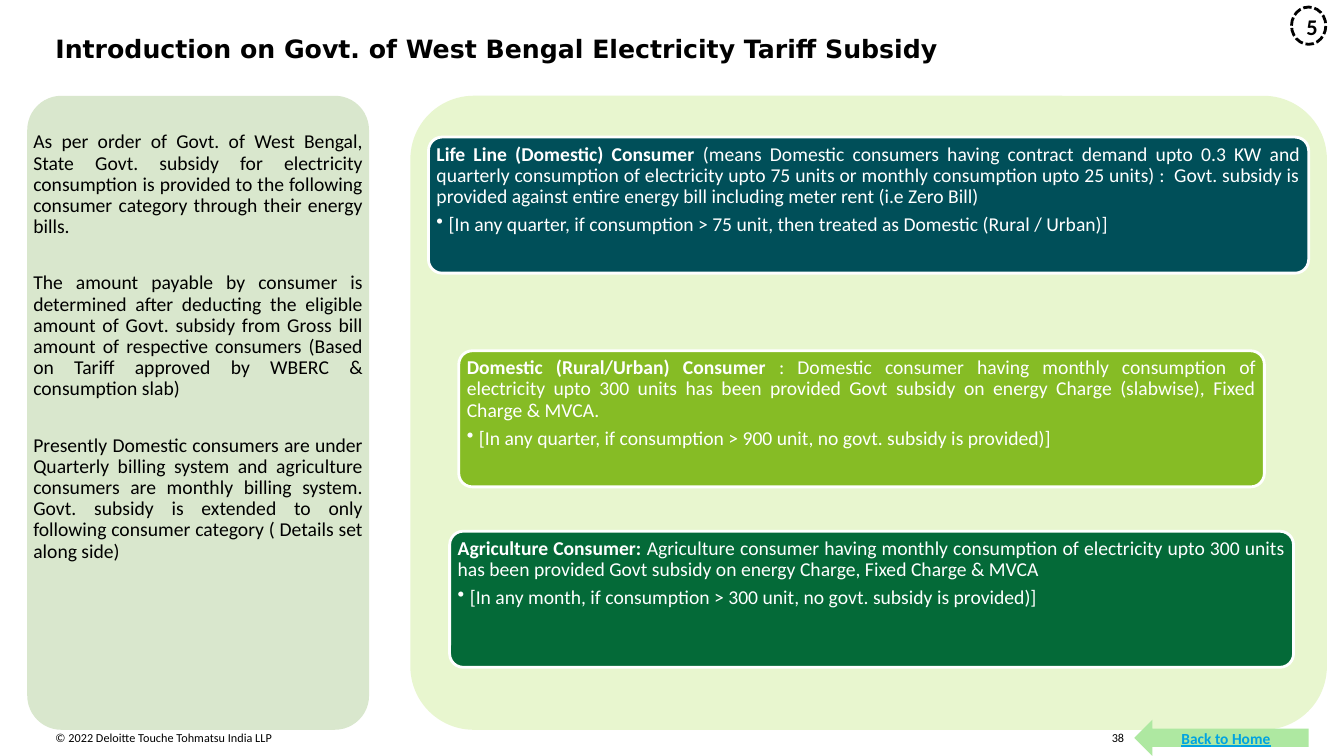
from lxml import etree
from pptx import Presentation
from pptx.dml.color import RGBColor
from pptx.enum import dml, shapes, text
from pptx.oxml import ns
from pptx.util import Inches, Pt

TITLE = "Introduction on Govt. of West Bengal Electricity Tariff Subsidy"
COPYRIGHT = "© 2022 Deloitte Touche Tohmatsu India LLP"
SUBSIDY_NOTES = [
    "As per order of Govt. of West Bengal, State Govt. subsidy for electricity consumption is "
    "provided to the following consumer category through their energy bills. ",
    "The amount payable by consumer is determined after deducting the eligible amount of Govt. "
    "subsidy from Gross bill amount of respective consumers (Based on Tariff approved by WBERC "
    "& consumption slab)",
    "Presently Domestic consumers are under Quarterly billing system and agriculture consumers "
    "are monthly billing system. Govt. subsidy is extended to only following consumer category "
    "( Details set along side)",
]
# left, top, width, fill, category, description, condition
CONSUMERS = [
    (4.25, 1.36, 8.73, "004F59", "Life Line (Domestic) Consumer ",
     "(means Domestic consumers having contract demand upto 0.3 KW and quarterly consumption of "
     "electricity upto 75 units or monthly consumption upto 25 units) :  Govt. subsidy is "
     "provided against entire energy bill including meter rent (i.e Zero Bill)",
     "[In any quarter, if consumption > 75 unit, then treated as Domestic (Rural / Urban)]"),
    (4.55, 3.48, 7.99, "86BC25", "Domestic (Rural/Urban) Consumer ",
     ": Domestic consumer having monthly consumption of electricity upto 300 units has been "
     "provided Govt subsidy on energy Charge (slabwise), Fixed Charge & MVCA.",
     "[In any quarter, if consumption > 900 unit, no govt. subsidy is provided)]"),
    (4.46, 5.27, 8.37, "046A38", "Agriculture Consumer: ",
     "Agriculture consumer having monthly consumption of electricity upto 300 units has been "
     "provided Govt subsidy on energy Charge, Fixed Charge & MVCA",
     "[In any month, if consumption > 300 unit, no govt. subsidy is provided)]"),
]
# left, width, fill
PANELS = [(0.27, 3.39, "D9E7CD"), (4.07, 9.09, "E8F6CF")]
PANEL_TOP, PANEL_HEIGHT, CARD_HEIGHT = 0.95, 6.29, 1.35
HOME_LEFT, NUMBER_WIDTH = 11.25, 0.34
ALIGN, ANCHOR, SHAPE = text.PP_ALIGN, text.MSO_ANCHOR, shapes.MSO_SHAPE


def color(value):
    return RGBColor.from_string(value)


def set_frame(shape, inset_x=0, inset_y=0, anchor=ANCHOR.TOP):
    frame = shape.text_frame
    frame.word_wrap = True
    frame.margin_left = frame.margin_right = Inches(inset_x)
    frame.margin_top = frame.margin_bottom = Inches(inset_y)
    frame.vertical_anchor = anchor
    return frame


def add_box(page, left, top, width, height, inset=0):
    box = page.shapes.add_textbox(Inches(left), Inches(top), Inches(width), Inches(height))
    return set_frame(box, inset, inset)


def add_shape(page, kind, left, top, width, height, fill, line=None):
    shape = page.shapes.add_shape(kind, Inches(left), Inches(top), Inches(width), Inches(height))
    shape.shadow.inherit = False
    shape.fill.solid()
    shape.fill.fore_color.rgb = color(fill)
    if line:
        shape.line.color.rgb = color(line)
        shape.line.width = Pt(2)
    else:
        shape.line.fill.background()
    if kind == SHAPE.ROUNDED_RECTANGLE:
        shape.adjustments[0] = 0.1
    return shape


def add_para(frame, spans, size, ink="000000", align=ALIGN.LEFT, spacing=1.0,
             after=0, bullet=False, face="Calibri"):
    """Add a paragraph; spans are (wording, bold) pairs."""
    unused = not frame.paragraphs[0].runs
    para = frame.paragraphs[0] if unused else frame.add_paragraph()
    para.alignment, para.line_spacing, para.space_after = align, spacing, Pt(after)
    if bullet:
        props = para._p.get_or_add_pPr()
        props.set("marL", str(Inches(0.12)))
        props.set("indent", str(Inches(-0.12)))
        etree.SubElement(props, ns.qn("a:buChar")).set("char", "•")
    for wording, bold in spans:
        span = para.add_run()
        span.text = wording
        span.font.name, span.font.size, span.font.bold = face, Pt(size), bold
        span.font.color.rgb = color(ink)
    return para


def main():
    deck = Presentation()
    deck.slide_width, deck.slide_height = Inches(13.33), Inches(7.5)
    page = deck.slides.add_slide(deck.slide_layouts[6])

    add_para(add_box(page, 0.55, 7.25, 5.86, 0.22), [(COPYRIGHT, False)], 8.7)
    # The page number stands just left of the home arrow
    number = add_box(page, HOME_LEFT - NUMBER_WIDTH - 0.1, 7.25, NUMBER_WIDTH, 0.22)
    add_para(number, [("38", False)], 8.7, align=ALIGN.RIGHT)
    add_para(add_box(page, 0.55, 0.35, 12.24, 0.37), [(TITLE, True)], 18,
             spacing=0.95, face="DejaVu Sans")

    for left, width, fill in PANELS:
        add_shape(page, SHAPE.ROUNDED_RECTANGLE, left, PANEL_TOP, width, PANEL_HEIGHT, fill)

    notes = add_box(page, PANELS[0][0], 1.25, PANELS[0][1], 4.4, 0.06)
    for note in SUBSIDY_NOTES:
        add_para(notes, [(note, False)], 14, align=ALIGN.JUSTIFY, spacing=0.9, after=25)

    for left, top, width, fill, category, description, condition in CONSUMERS:
        card = add_shape(page, SHAPE.ROUNDED_RECTANGLE, left, top, width, CARD_HEIGHT,
                         fill, "FFFFFF")
        frame = set_frame(card, 0.04, 0.03)
        add_para(frame, [(category, True), (description, False)], 14, "FFFFFF",
                 ALIGN.JUSTIFY, 0.9, after=5)
        add_para(frame, [(condition, False)], 14, "FFFFFF", ALIGN.JUSTIFY, 0.9,
                 after=2, bullet=True)

    home = add_shape(page, SHAPE.LEFT_ARROW, HOME_LEFT, 7.14, 1.73, 0.36, "AEE8A1")
    label = add_para(set_frame(home, 0.1, 0.1, ANCHOR.MIDDLE), [("Back to Home", True)], 11,
                     "00A3E0", ALIGN.CENTER, 1.06)
    label.runs[0].font.underline = True

    badge = add_shape(page, SHAPE.OVAL, 12.81, 0.07, 0.34, 0.37, "FFFFFF", "000000")
    badge.line.dash_style = dml.MSO_LINE.SQUARE_DOT
    add_para(set_frame(badge, 0.1, 0.1, ANCHOR.MIDDLE), [("5", True)], 16,
             align=ALIGN.CENTER, spacing=1.06)

    deck.save("out.pptx")


if __name__ == "__main__":
    main()
